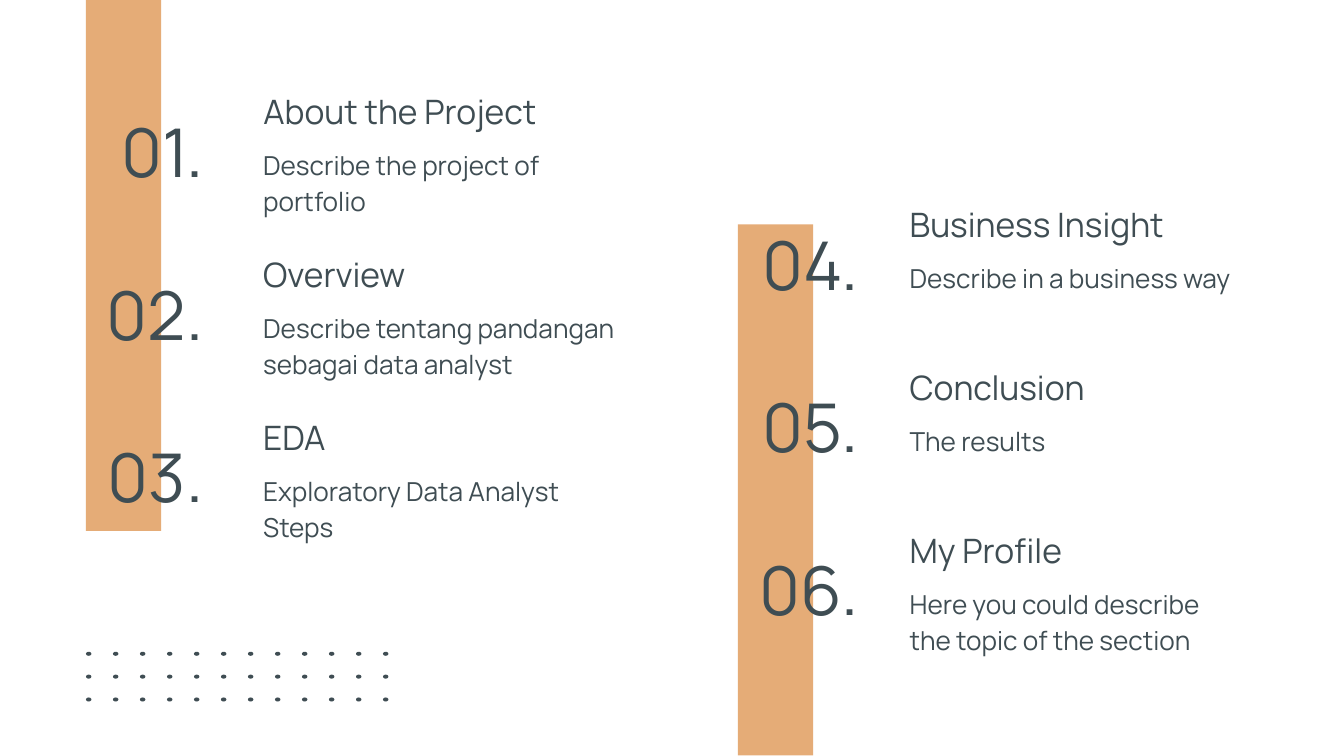
from pptx import Presentation
from pptx.dml.color import RGBColor as RGB
from pptx.enum.shapes import MSO_SHAPE as Kind
from pptx.enum.text import MSO_ANCHOR as Anchor, MSO_AUTO_SIZE as Auto, PP_ALIGN as Align
from pptx.util import Inches, Pt

INK = RGB(0x3F, 0x4D, 0x53)
SAND = RGB(0xE5, 0xAC, 0x77)
FONT = "Manrope"

deck = Presentation()
deck.slide_width = Inches(10)
deck.slide_height = Inches(10 * 9 / 16)
slide = deck.slides.add_slide(deck.slide_layouts[5])
shapes = slide.shapes


def add_text(text, at, size, align=Align.LEFT, anchor=Anchor.TOP, lead=1, after=0, box=None):
    area = [Inches(n) for n in at]
    box = box or shapes.add_textbox(*area)
    box.left, box.top, box.width, box.height = area
    frame = box.text_frame
    frame.word_wrap, frame.auto_size = True, Auto.NONE
    frame.vertical_anchor = anchor
    frame.margin_left = frame.margin_right = Inches(0.1)
    frame.margin_top = frame.margin_bottom = Inches(0.1)
    para = frame.paragraphs[0]
    para.alignment, para.line_spacing, para.space_after = align, lead, Pt(after)
    run = para.add_run()
    run.text = text
    run.font.name, run.font.size = FONT, Pt(size)
    run.font.color.rgb = INK


def add_fill(kind, at, color):
    shape = shapes.add_shape(kind, *[Inches(n) for n in at])
    shape.shadow.inherit = False
    shape.fill.solid()
    shape.fill.fore_color.rgb = color
    shape.line.fill.background()


columns = [
    (0.17, 1.86, 0.58, [
        ("01.", "About the Project", "Describe the project of portfolio", 2.64),
        ("02.", "Overview", "Describe tentang pandangan sebagai data analyst", 3.55),
        ("03.", "EDA", "Exploratory Data Analyst Steps", 2.64),
    ]),
    (5.05, 6.67, 1.42, [
        ("04.", "Business Insight", "Describe in a business way", 2.64),
        ("05.", "Conclusion", "The results", 2.64),
        ("06.", "My Profile", "Here you could describe the topic of the section", 2.64),
    ]),
]

for left, top in [(0.64, 0), (5.49, 1.67)]:
    add_fill(Kind.RECTANGLE, (left, top, 0.56, 3.95), SAND)

title = shapes.title
for num_x, text_x, first, items in columns:
    for row, (num, head, body, width) in enumerate(items):
        top = first + 1.21 * row
        add_text(num, (num_x, top + 0.35, 1.44, 0.59), 36, align=Align.RIGHT, anchor=Anchor.BOTTOM)
        add_text(head, (text_x, top, 3.01, 0.48), 18, box=title)
        add_text(body, (text_x, top + 0.4, width, 0.67), 14, lead=1.15, after=16)
        title = None

for row in range(3):
    for col in range(12):
        add_fill(Kind.OVAL, (0.64 + 2.21 * col / 11, 4.85 + 0.17 * row, 0.04, 0.03), INK)

deck.save("out.pptx")
